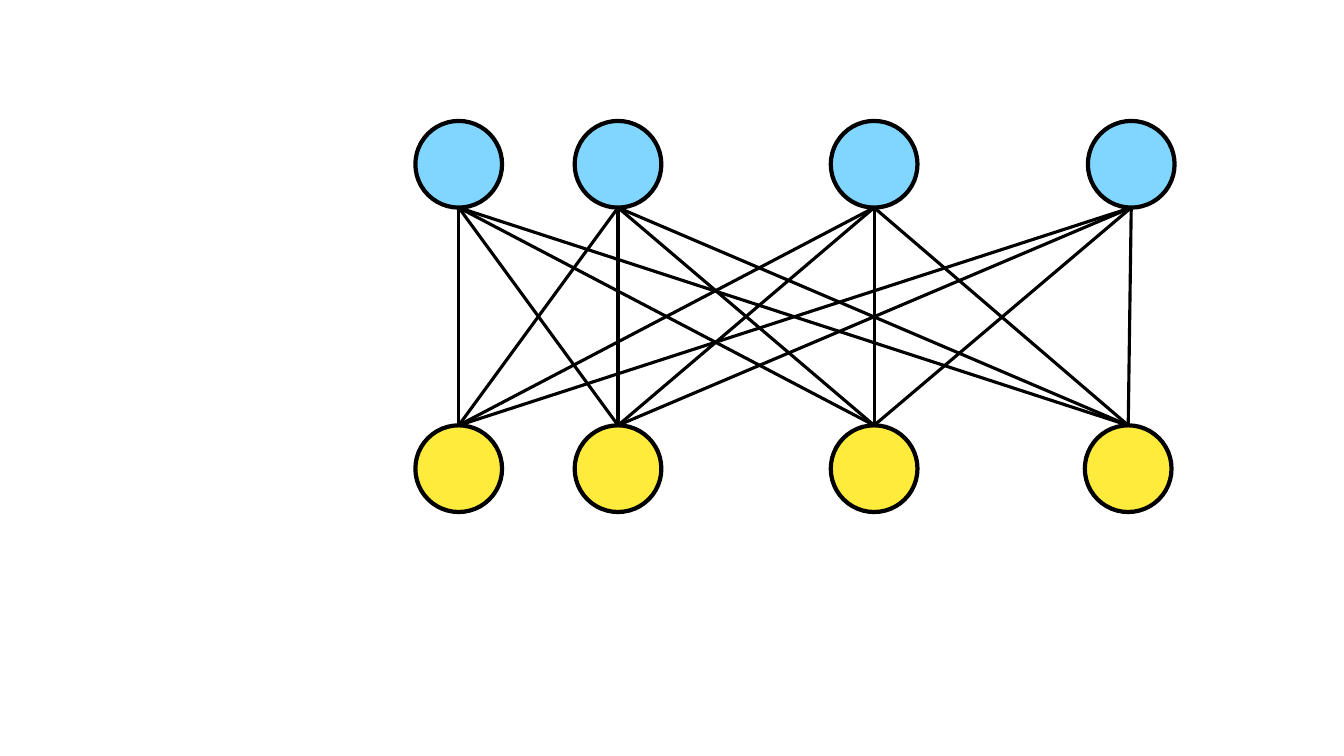
from itertools import product

from lxml import etree
from pptx import Presentation
from pptx.dml.color import RGBColor
from pptx.enum import shapes
from pptx.oxml.ns import qn
from pptx.util import Inches, Pt

COLORS = {"top": "80D6FF", "bottom": "FFEB3B", "ink": "000000"}
NODE_SIZE = 0.86
TOP_Y, BOTTOM_Y = 1.2, 4.22
TOP_XS = [4.12, 5.7, 8.24, 10.79]
BOTTOM_XS = [4.12, 5.7, 8.24, 10.76]


class GraphSlide:
    def __init__(self, prs):
        self.slide = prs.slides.add_slide(prs.slide_layouts[6])
        self.group = self.slide.shapes.add_group_shape()

    def outline(self, line, width):
        line.color.rgb = RGBColor.from_string(COLORS["ink"])
        line.width = Pt(width)

    def node(self, x, y, color):
        sp = self.group.shapes.add_shape(
            shapes.MSO_SHAPE.OVAL, Inches(x), Inches(y),
            Inches(NODE_SIZE), Inches(NODE_SIZE))
        sp.shadow.inherit = False
        sp.fill.solid()
        sp.fill.fore_color.rgb = RGBColor.from_string(COLORS[color])
        self.outline(sp.line, 3)

    def edge(self, top_x, bottom_x):
        """Join the foot of a top node to the head of a bottom node."""
        radius = NODE_SIZE / 2
        cxn = self.group.shapes.add_connector(
            shapes.MSO_CONNECTOR.STRAIGHT,
            Inches(top_x + radius), Inches(TOP_Y + NODE_SIZE),
            Inches(bottom_x + radius), Inches(BOTTOM_Y))
        self.outline(cxn.line, 2.25)
        etree.SubElement(cxn._element.spPr, qn("a:effectLst"))


def main():
    prs = Presentation()
    prs.slide_width, prs.slide_height = Inches(13.33), Inches(7.5)
    graph = GraphSlide(prs)
    for xs, y, color in ((TOP_XS, TOP_Y, "top"), (BOTTOM_XS, BOTTOM_Y, "bottom")):
        for x in xs:
            graph.node(x, y, color)
    for top_x, bottom_x in product(TOP_XS, BOTTOM_XS):
        graph.edge(top_x, bottom_x)
    prs.save("out.pptx")


if __name__ == "__main__":
    main()
